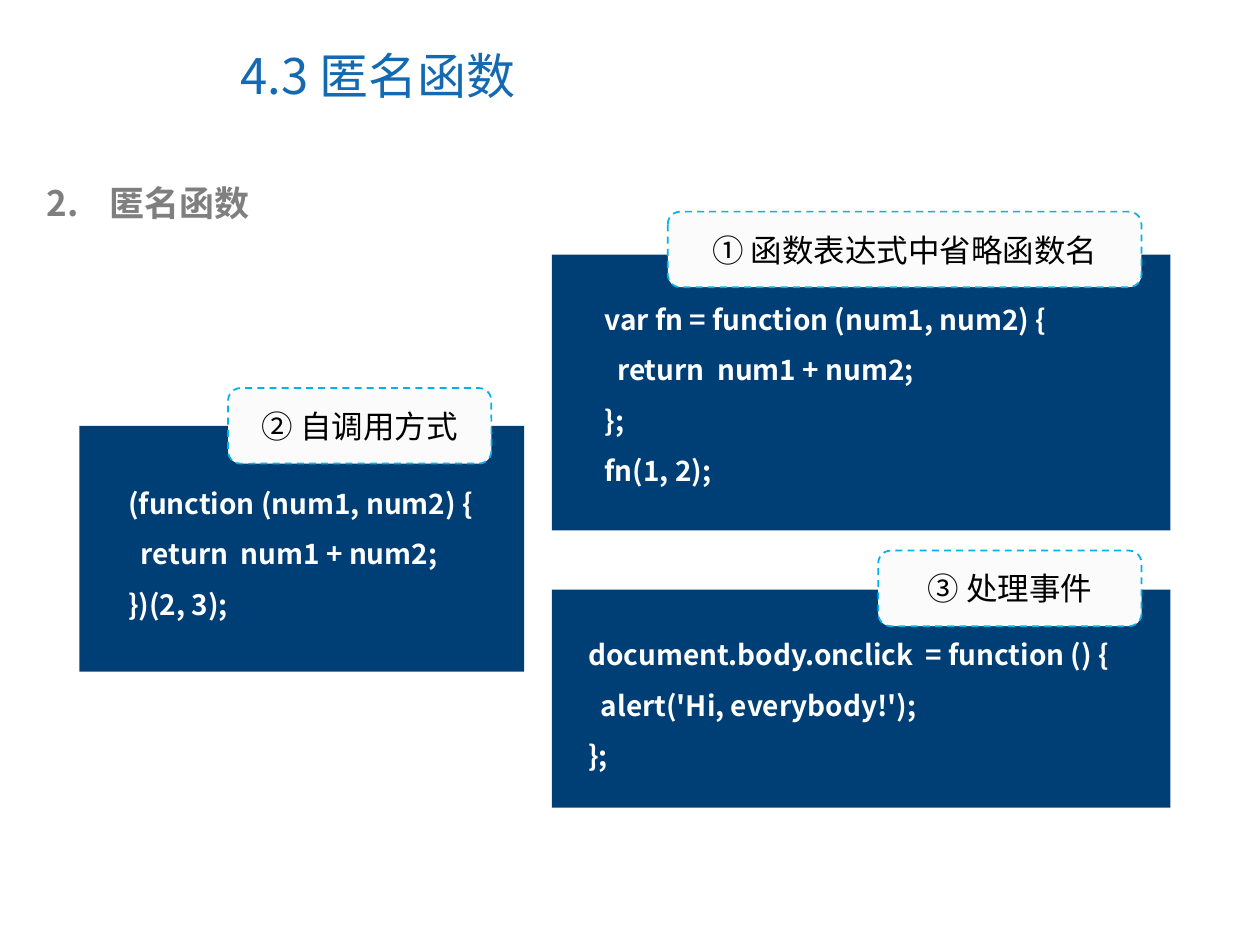
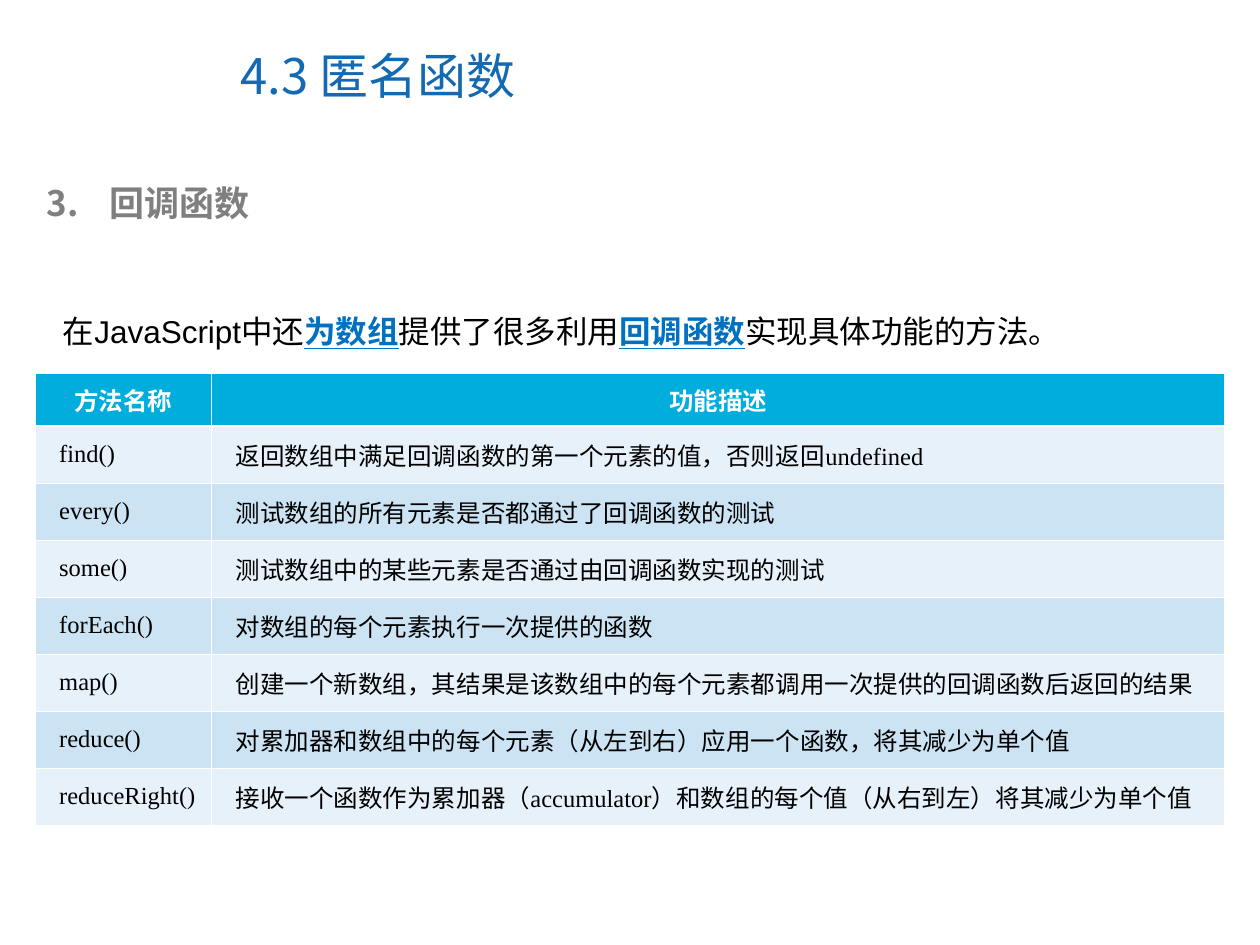
from dataclasses import dataclass

from lxml import etree
from pptx import Presentation
from pptx.dml.color import RGBColor
from pptx.enum.dml import MSO_LINE
from pptx.enum.shapes import MSO_SHAPE
from pptx.enum.text import MSO_ANCHOR, PP_ALIGN
from pptx.oxml.ns import qn
from pptx.util import Inches, Pt

RECTANGLE, ROUNDED = MSO_SHAPE.RECTANGLE, MSO_SHAPE.ROUNDED_RECTANGLE
DASH = MSO_LINE.DASH
MIDDLE = MSO_ANCHOR.MIDDLE
LEFT, CENTER, JUSTIFY = PP_ALIGN.LEFT, PP_ALIGN.CENTER, PP_ALIGN.JUSTIFY


@dataclass(frozen=True)
class Theme:
    title: str = "1369B2"
    heading: str = "7F7F7F"
    panel: str = "003F75"
    label: str = "FBFBFB"
    label_line: str = "00B4E9"
    emphasis: str = "0070C0"
    table_header: str = "00ADDC"
    table_bands: tuple = ("E7F1F9", "CBE3F2")
    black: str = "000000"
    white: str = "FFFFFF"
    title_size: int = 28
    heading_size: int = 20
    body_size: int = 18
    code_size: int = 16
    table_size: int = 14
    chinese: str = "Noto Sans CJK SC"
    sans: str = "Arial"
    serif: str = "Times New Roman"


theme = Theme()
presentation = Presentation()
presentation.slide_width, presentation.slide_height = Inches(10), Inches(7.5)
COLUMN = presentation.slide_width / 100
ROW = presentation.slide_height / 75


def add_box(shapes, area, kind=None, fill=None):
    """Add a preset shape, or a text box without kind; area is in grid columns and rows."""
    left, top, width, height = area
    place = [round(size) for size in (left * COLUMN, top * ROW, width * COLUMN, height * ROW)]
    if kind is None:
        box = shapes.add_textbox(*place)
    else:
        box = shapes.add_shape(kind, *place)
        box.shadow.inherit = False
        box.fill.solid()
        box.fill.fore_color.rgb = RGBColor.from_string(fill)
        box.line.fill.background()
    box.text_frame.word_wrap = True
    return box


def format_text(text_frame, size, color, latin, bold=False, align=LEFT, spacing=None):
    for paragraph in text_frame.paragraphs:
        paragraph.alignment = align
        paragraph.line_spacing = spacing
        for run in paragraph.runs:
            run.font.size = Pt(size)
            run.font.bold = bold
            run.font.color.rgb = RGBColor.from_string(color)
            run.font.name = latin
            etree.SubElement(run.font._element, qn("a:ea"), typeface=theme.chinese)


# Title and numbered heading on both slides
slides = []
for number, heading_text in ((2, "匿名函数"), (3, "回调函数")):
    slide = presentation.slides.add_slide(presentation.slide_layouts[6])
    slides.append(slide)

    title = add_box(slide.shapes, (18.1, 1.7, 51.6, 8.5)).text_frame
    title.text = "4.3 匿名函数"
    title.vertical_anchor = MIDDLE
    format_text(title, theme.title_size, theme.title, theme.chinese)

    heading = add_box(slide.shapes, (2.7, 13.9, 92.2, 4.4)).text_frame
    heading.text = heading_text
    properties = heading.paragraphs[0]._p.get_or_add_pPr()
    properties.set("marL", str(Inches(0.5)))
    properties.set("indent", str(-Inches(0.5)))
    bullet_color = etree.SubElement(properties, qn("a:buClr"))
    etree.SubElement(bullet_color, qn("a:srgbClr"), val=theme.heading)
    etree.SubElement(properties, qn("a:buAutoNum"), type="arabicPeriod", startAt=str(number))
    format_text(heading, theme.heading_size, theme.heading, theme.chinese, bold=True)

usage_slide, callback_slide = slides

# Three code panels: panel area, code area, code lines
code_panels = (
    ((43.8, 20.2, 49.1, 21.9), (47, 22.2, 45.9, 17),
     ("var fn = function (num1, num2) {", "  return  num1 + num2;", "};", "fn(1, 2);")),
    ((6.3, 33.8, 35.3, 19.5), (9.2, 36.8, 32.4, 13),
     ("(function (num1, num2) {", "  return  num1 + num2;", "})(2, 3);")),
    ((43.8, 46.8, 49.1, 17.3), (45.7, 48.8, 48.2, 13),
     ("document.body.onclick  = function () {", "  alert('Hi, everybody!');", "};")),
)
for panel_area, code_area, lines in code_panels:
    group = usage_slide.shapes.add_group_shape()
    add_box(group.shapes, panel_area, RECTANGLE, theme.panel)
    code = add_box(group.shapes, code_area).text_frame
    code.text = "\n".join(lines)
    format_text(code, theme.code_size, theme.white, theme.chinese, bold=True, spacing=1.5)

# Dashed labels over the panels
labels = (
    (53, 16.8, 37.6, "① 函数表达式中省略函数名"),
    (69.7, 43.7, 20.9, "③ 处理事件"),
    (18.1, 30.8, 20.9, "② 自调用方式"),
)
for left, top, width, text in labels:
    label = add_box(usage_slide.shapes, (left, top, width, 6), ROUNDED, theme.label)
    label.line.color.rgb = RGBColor.from_string(theme.label_line)
    label.line.width = Pt(1)
    label.line.dash_style = DASH
    label.text_frame.text = text
    label.text_frame.vertical_anchor = MIDDLE
    format_text(label.text_frame, theme.body_size, theme.black, theme.sans, align=CENTER)

# Introduction with emphasised words
introduction = add_box(callback_slide.shapes, (4, 21.3, 91.9, 7)).text_frame
parts = ("在JavaScript中还", "为数组", "提供了很多利用", "回调函数", "实现具体功能的方法。")
for part in parts:
    introduction.paragraphs[0].add_run().text = part
format_text(introduction, theme.body_size, theme.black, theme.sans, spacing=2.0)
for run in introduction.paragraphs[0].runs[1::2]:
    run.font.bold = run.font.underline = True
    run.font.color.rgb = RGBColor.from_string(theme.emphasis)

# Table of array methods
methods = (
    ("方法名称", "功能描述"),
    ("find()", "返回数组中满足回调函数的第一个元素的值，否则返回undefined"),
    ("every()", "测试数组的所有元素是否都通过了回调函数的测试"),
    ("some()", "测试数组中的某些元素是否通过由回调函数实现的测试"),
    ("forEach()", "对数组的每个元素执行一次提供的函数"),
    ("map()", "创建一个新数组，其结果是该数组中的每个元素都调用一次提供的回调函数后返回的结果"),
    ("reduce()", "对累加器和数组中的每个元素（从左到右）应用一个函数，将其减少为单个值"),
    ("reduceRight()", "接收一个函数作为累加器（accumulator）和数组的每个值（从右到左）将其减少为单个值"),
)
column_widths = (14, 80.4)
header_height, row_height = 4.2, 4.53
table_height = header_height + row_height * (len(methods) - 1)
table = callback_slide.shapes.add_table(
    len(methods), len(column_widths), round(2.8 * COLUMN), round(29.6 * ROW),
    round(sum(column_widths) * COLUMN), round(table_height * ROW)).table
for column, width in zip(table.columns, column_widths):
    column.width = round(width * COLUMN)

for row_index, texts in enumerate(methods):
    is_header = row_index == 0
    table.rows[row_index].height = round((header_height if is_header else row_height) * ROW)
    fill = theme.table_header if is_header else theme.table_bands[(row_index - 1) % 2]
    for column_index, text in enumerate(texts):
        cell = table.cell(row_index, column_index)
        cell.text = text
        cell.vertical_anchor = MIDDLE
        cell.margin_left = cell.margin_right = Inches(0.07)
        cell.fill.solid()
        cell.fill.fore_color.rgb = RGBColor.from_string(fill)
        if is_header:
            format_text(cell.text_frame, theme.table_size, theme.white, theme.sans, True, CENTER)
        else:
            cell.text_frame.paragraphs[0]._p.get_or_add_pPr().set("marL", str(Inches(0.12)))
            format_text(cell.text_frame, theme.table_size, theme.black, theme.serif, align=JUSTIFY)
        thick_edge = {0: "lnB", 1: "lnT"}.get(row_index)
        cell_properties = cell._tc.get_or_add_tcPr()
        for position, edge in enumerate(("lnL", "lnR", "lnT", "lnB")):
            line_width = Pt(1.47 if edge == thick_edge else 0.45)
            border = etree.Element(qn(f"a:{edge}"), w=str(line_width))
            border_fill = etree.SubElement(border, qn("a:solidFill"))
            etree.SubElement(border_fill, qn("a:srgbClr"), val=theme.white)
            cell_properties.insert(position, border)

presentation.save("out.pptx")
